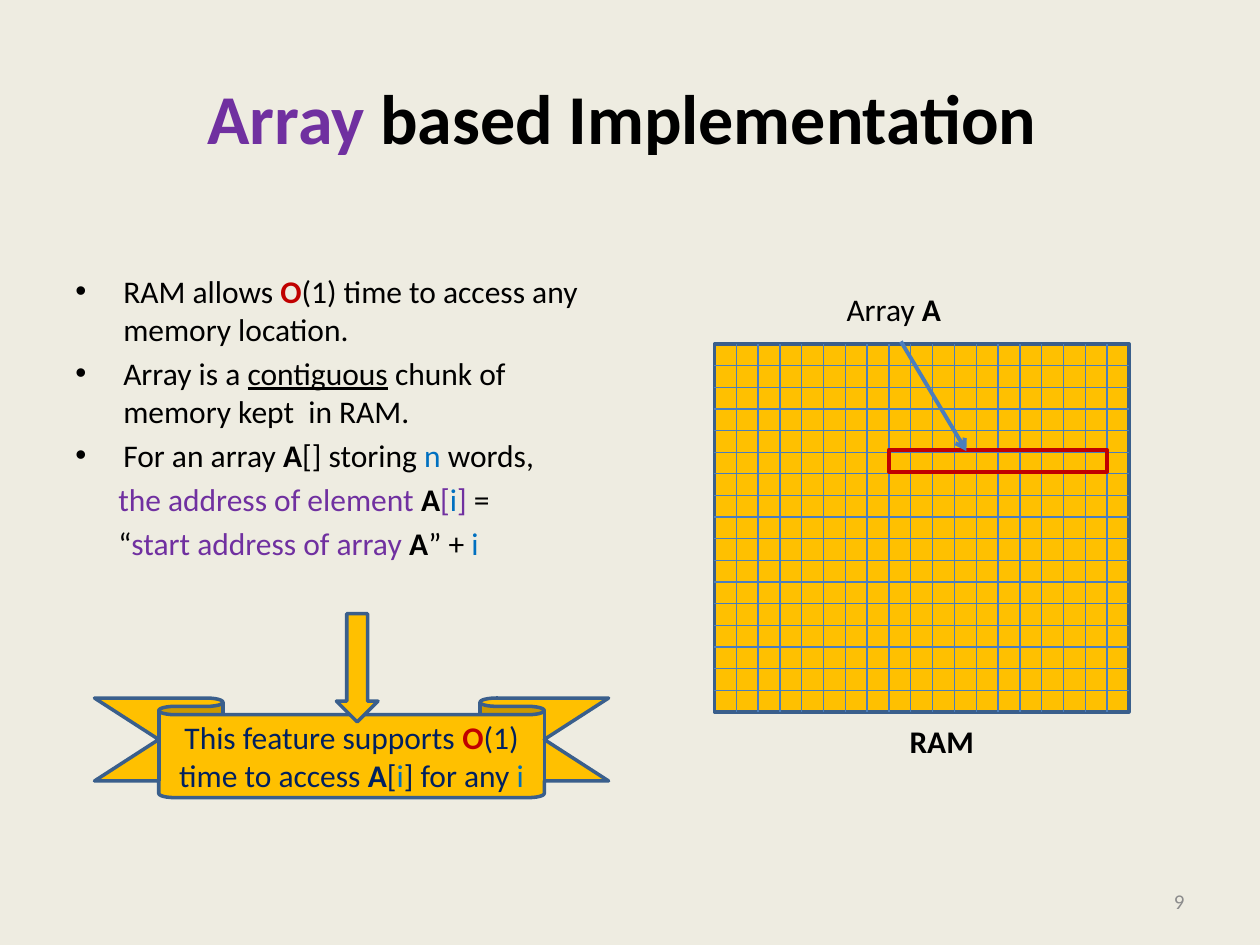
from dataclasses import dataclass
from lxml import etree
from pptx import Presentation
from pptx.dml.color import RGBColor
from pptx.enum.shapes import MSO_CONNECTOR as Connector, MSO_SHAPE as Shape
from pptx.enum.text import MSO_ANCHOR as Anchor, PP_ALIGN as Align
from pptx.oxml.ns import qn
from pptx.util import Inches, Pt


@dataclass(frozen=True)
class Theme:
    font: str = "Calibri"
    paper: str = "EEECE1"
    ink: str = "000000"
    navy: str = "002060"
    purple: str = "7030A0"
    red: str = "C00000"
    blue: str = "0070C0"
    gray: str = "8C8C8C"
    gold: str = "FFC000"
    edge: str = "3A5F8C"
    rule: str = "4B7EBC"
    title: int = 40
    body: int = 18
    small: int = 12


THEME = Theme()
COLUMNS, ROWS = 100, 75


class Board:
    def __init__(self, deck, theme):
        self.theme = theme
        self.column = deck.slide_width / COLUMNS
        self.row = deck.slide_height / ROWS
        self.slide = deck.slides.add_slide(deck.slide_layouts[6])
        self.shapes = self.slide.shapes
        fill = self.slide.background.fill
        fill.solid()
        fill.fore_color.rgb = RGBColor.from_string(theme.paper)

    def group(self):
        self.shapes = self.slide.shapes.add_group_shape().shapes

    def place(self, column, row, columns=0, rows=0):
        return (round(column * self.column), round(row * self.row),
                round(columns * self.column), round(rows * self.row))

    def stroke(self, line, color, width):
        line.color.rgb = RGBColor.from_string(color)
        line.width = Pt(width)

    def add_spans(self, para, parts, size, align=Align.LEFT):
        para.alignment = align
        for text, color, *marks in parts:
            span = para.add_run()
            span.text = text
            span.font.name = self.theme.font
            span.font.size = Pt(size)
            span.font.color.rgb = RGBColor.from_string(color)
            span.font.bold = "bold" in marks
            span.font.underline = "underline" in marks

    def text(self, place, parts, size, align=Align.LEFT, anchor=Anchor.TOP, wrap=True):
        box = self.shapes.add_textbox(*self.place(*place))
        box.text_frame.word_wrap = wrap
        box.text_frame.vertical_anchor = anchor
        self.add_spans(box.text_frame.paragraphs[0], parts, size, align)

    def bullets(self, place, items, top):
        frame = self.shapes.add_textbox(*self.place(*place)).text_frame
        frame.word_wrap = True
        frame.margin_top = round(top * self.row)
        for index, (bulleted, parts) in enumerate(items):
            para = frame.add_paragraph() if index else frame.paragraphs[0]
            para.space_before = Pt(3.6 if index else 0)
            self.add_spans(para, parts, self.theme.body)
            props = para._p.get_or_add_pPr()
            props.set("marL", str(Inches(0.38 if bulleted else 0.34)))
            props.set("indent", str(Inches(-0.38 if bulleted else 0)))
            if bulleted:
                etree.SubElement(props, qn("a:buFont")).set("typeface", "Arial")
                etree.SubElement(props, qn("a:buChar")).set("char", "•")
            else:
                etree.SubElement(props, qn("a:buNone"))

    def shape(self, kind, place, fill, color, width, parts=()):
        shape = self.shapes.add_shape(kind, *self.place(*place))
        shape.shadow.inherit = False
        if fill:
            shape.fill.solid()
            shape.fill.fore_color.rgb = RGBColor.from_string(fill)
        else:
            shape.fill.background()
        self.stroke(shape.line, color, width)
        if parts:
            shape.text_frame.word_wrap = True
            shape.text_frame.vertical_anchor = Anchor.MIDDLE
            self.add_spans(shape.text_frame.paragraphs[0], parts, self.theme.body, Align.CENTER)
        return shape

    def line(self, start, end, width, arrow=False):
        line = self.shapes.add_connector(
            Connector.STRAIGHT, *self.place(*start)[:2], *self.place(*end)[:2])
        self.stroke(line.line, self.theme.rule, width)
        props = line._element.spPr
        if arrow:
            etree.SubElement(props.find(qn("a:ln")), qn("a:tailEnd")).set("type", "arrow")
        etree.SubElement(props, qn("a:effectLst"))

    def mesh(self, place, across, down):
        left, top, width, height = place
        self.shape(Shape.RECTANGLE, place, self.theme.gold, self.theme.edge, 2)
        for step in range(1, across):
            x = left + width * step / across
            self.line((x, top), (x, top + height), 0.75)
        for step in range(1, down):
            y = top + height * step / down
            self.line((left, y), (left + width, y), 0.75)


deck = Presentation()
deck.slide_width, deck.slide_height = Inches(10), Inches(7.5)
board = Board(deck, THEME)
ink, navy, purple, red, blue = THEME.ink, THEME.navy, THEME.purple, THEME.red, THEME.blue

board.text((5, 3, 90, 12.5),
           [("Array", purple, "bold"), (" based Implementation ", ink, "bold")],
           THEME.title, Align.CENTER, Anchor.MIDDLE)
board.bullets((5, 17.5, 44.2, 49.5), [
    (True, [("RAM allows ", ink), ("O", red, "bold"),
            ("(1) time to access any memory location.", ink)]),
    (True, [("Array is a ", ink), ("contiguous", ink, "underline"),
            (" chunk of memory kept  in RAM.", ink)]),
    (True, [("For an array ", ink), ("A", ink, "bold"), ("[] storing ", ink),
            ("n", blue), (" words,", ink)]),
    (False, [("the address of element ", purple), ("A", ink, "bold"), ("[", purple),
             ("i", blue), ("]", purple), (" =", ink)]),
    (False, [("“", ink), ("start address of array ", purple), ("A", ink, "bold"),
             ("” + ", ink), ("i", blue)]),
], top=4.1)
board.text((71.7, 69.5, 23.3, 4), [("9", THEME.gray)],
           THEME.small, Align.RIGHT, Anchor.MIDDLE)

memory = (56.7, 27.3, 32.9, 29.2)
across, down = 19, 17
cell = memory[2] / across
board.group()
board.mesh(memory, across, down)
board.text((71.2, 56.8, 7.2, 4), [("RAM", ink, "bold")], THEME.body, wrap=False)

board.group()
board.shape(Shape.RECTANGLE, (memory[0] + 8 * cell, 35.7, 10 * cell, cell), None, red, 2.25)
board.text((66.2, 22.5, 9.5, 4), [("Array ", ink), ("A", ink, "bold")],
           THEME.body, wrap=False)
board.line((71.5, 27.1), (76.7, 35.8), 2.25, arrow=True)

board.group()
ribbon = board.shape(Shape.DOWN_RIBBON, (7.5, 55.4, 40.8, 7.9), THEME.gold, THEME.edge, 2, [
    ("This feature supports ", navy), ("O", red, "bold"), ("(1) time to access ", navy),
    ("A", navy, "bold"), ("[", navy), ("i", blue), ("] for any ", navy), ("i", blue)])
ribbon.adjustments[0], ribbon.adjustments[1] = 0.167, 0.75
board.shape(Shape.DOWN_ARROW, (26.7, 48.7, 3.3, 8.6), THEME.gold, THEME.edge, 2)

deck.save("out.pptx")
